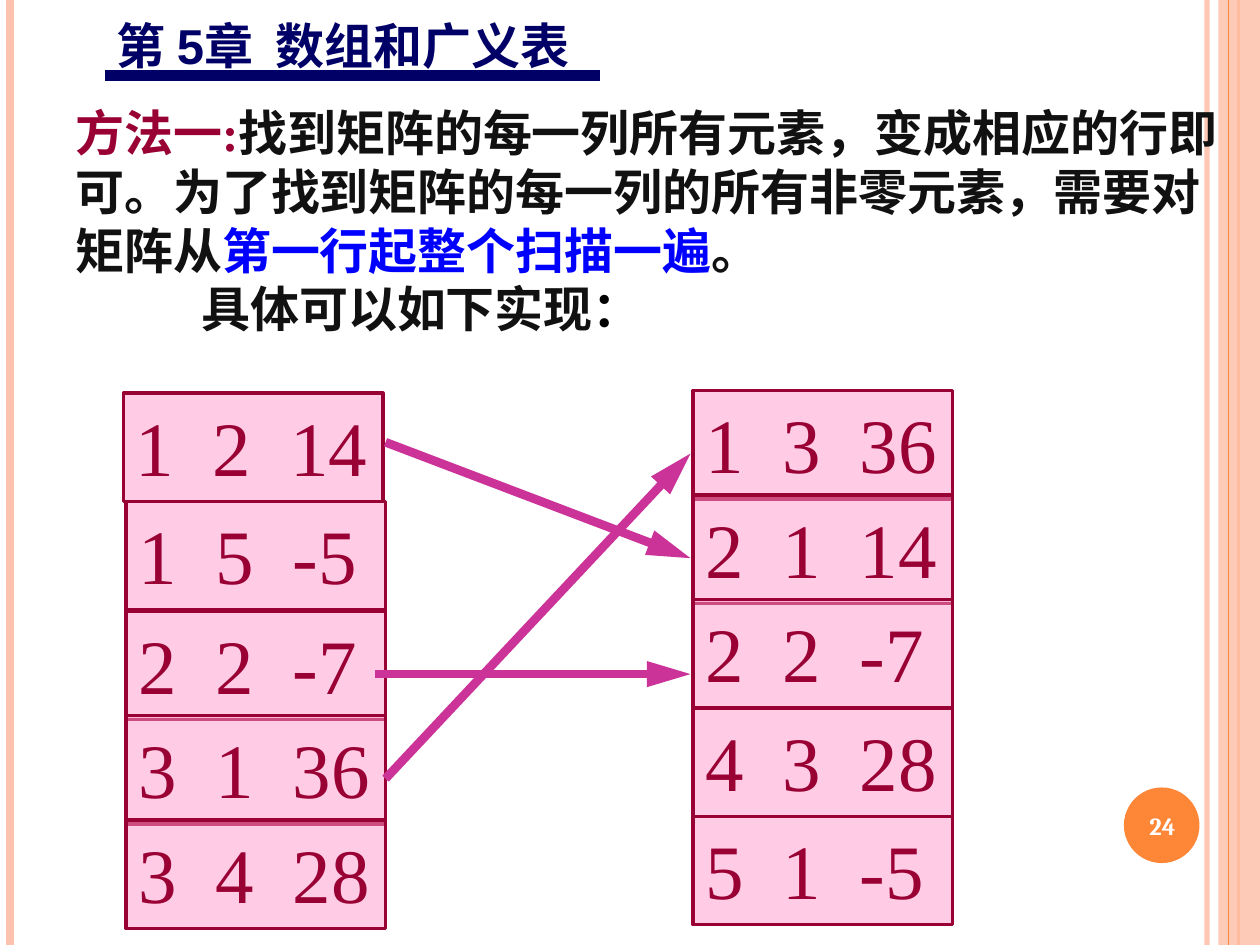
from dataclasses import dataclass
from lxml.etree import SubElement
from pptx import Presentation
from pptx.dml.color import RGBColor
from pptx.enum.shapes import MSO_CONNECTOR, MSO_SHAPE
from pptx.enum.text import MSO_ANCHOR, PP_ALIGN
from pptx.oxml.ns import qn
from pptx.slide import Slide
from pptx.util import Inches, Pt

COLUMNS, ROWS = 100, 75
COLORS = {
    "peach": "FEC3AE", "orange": "FE8637", "white": "FFFFFF", "navy": "000066",
    "crimson": "990033", "ink": "111111", "black": "000000", "blue": "0000FF",
    "pink": "FF99CC", "magenta": "CC3399",
}
CJK_FONT = "Noto Sans CJK SC"
FORMATS = {
    "title": {"size": Pt(28), "name": "Arial", "bold": True},
    "latin": {"size": Pt(28), "name": "Times New Roman", "bold": True},
    "body": {"size": Pt(28), "name": CJK_FONT, "bold": True},
    "triplet": {"size": Pt(44), "name": "Times New Roman", "bold": False},
    "number": {"size": Pt(14), "name": "Cambria", "bold": True},
}
BODY_SPACING = {"line_spacing": Pt(33.7)}


@dataclass
class SlideBuilder:
    """Draw styled elements on one slide, placed by grid columns and rows."""
    presentation: Presentation
    slide: Slide

    def horizontal(self, columns):
        return int(self.presentation.slide_width * columns / COLUMNS)

    def vertical(self, rows):
        return int(self.presentation.slide_height * rows / ROWS)

    def box(self, left, top, width, height):
        return (self.horizontal(left), self.vertical(top),
                self.horizontal(width), self.vertical(height))

    def color(self, name):
        return RGBColor.from_string(COLORS[name])

    def opacity(self, color_parent, percent):
        for color in color_parent.iter(qn("a:srgbClr")):
            SubElement(color, qn("a:alpha"), val=str(percent * 1000))

    def line(self, start, end, color, width, opacity=100, arrow=False):
        connector = self.slide.shapes.add_connector(
            MSO_CONNECTOR.STRAIGHT,
            self.horizontal(start[0]), self.vertical(start[1]),
            self.horizontal(end[0]), self.vertical(end[1]))
        connector.line.color.rgb = self.color(color)
        connector.line.width = Pt(width)
        properties = connector._element.spPr
        outline = properties.find(qn("a:ln"))
        if opacity < 100:
            self.opacity(outline, opacity)
        if arrow:
            SubElement(outline, qn("a:tailEnd"), type="triangle", w="med", len="lg")
        SubElement(properties, qn("a:effectLst"))

    def shape(self, kind, bounds, fill, opacity=100, outline=None):
        shape = self.slide.shapes.add_shape(kind, *self.box(*bounds))
        shape.shadow.inherit = False
        shape.fill.solid()
        shape.fill.fore_color.rgb = self.color(fill)
        if opacity < 100:
            self.opacity(shape._element.spPr.find(qn("a:solidFill")), opacity)
        if outline:
            shape.line.color.rgb = self.color(outline)
            shape.line.width = Pt(2)
        else:
            shape.line.fill.background()
        return shape

    def paragraph(self, paragraph, runs, settings):
        for name, value in settings.items():
            setattr(paragraph, name, value)
        for text, style, color in runs:
            run = paragraph.add_run()
            run.text = text
            for name, value in FORMATS[style].items():
                setattr(run.font, name, value)
            run.font.color.rgb = self.color(color)
            SubElement(run._r.get_or_add_rPr(), qn("a:ea"), typeface=CJK_FONT)

    def text(self, bounds, paragraphs, settings, anchor=MSO_ANCHOR.TOP):
        frame = self.slide.shapes.add_textbox(*self.box(*bounds)).text_frame
        frame.word_wrap = True
        frame.vertical_anchor = anchor
        for index, runs in enumerate(paragraphs):
            paragraph = frame.add_paragraph() if index else frame.paragraphs[0]
            self.paragraph(paragraph, runs, settings)
        return frame

    def triplet(self, left, top, values):
        shape = self.shape(MSO_SHAPE.RECTANGLE, (left, top, 20.6, 8.6), "pink", 50, "crimson")
        frame = shape.text_frame
        frame.word_wrap = True
        frame.margin_right = 0
        frame.vertical_anchor = MSO_ANCHOR.TOP
        paragraph = frame.paragraphs[0]
        text = "\t".join(str(value) for value in values)
        self.paragraph(paragraph, [(text, "triplet", "crimson")], {"alignment": PP_ALIGN.LEFT})
        stops = SubElement(paragraph._p.get_or_add_pPr(), qn("a:tabLst"))
        for stop in (1, 2):
            SubElement(stops, qn("a:tab"), pos=str(self.horizontal(6.12 * stop)), algn="l")


def main():
    presentation = Presentation()
    presentation.slide_width, presentation.slide_height = Inches(10), Inches(7.5)
    slide = presentation.slides.add_slide(presentation.slide_layouts[6])
    builder = SlideBuilder(presentation, slide)

    for column, color, width, opacity in (
            (95.8, "peach", 3, 93), (0.8, "peach", 4.5, 100), (98.3, "orange", 1.5, 100)):
        builder.line((column, 0), (column, ROWS), color, width, opacity)
    builder.shape(MSO_SHAPE.RECTANGLE, (96.7, 0, 3.3, ROWS), "peach", 87)
    builder.line((97.5, 0), (97.5, ROWS), "orange", 0.75)
    builder.shape(MSO_SHAPE.OVAL, (89.2, 62.5, 6, 6), "orange")
    builder.text((88.9, 62.7, 6.7, 5.7), [[("24", "number", "white")]],
                 {"alignment": PP_ALIGN.CENTER}, MSO_ANCHOR.MIDDLE)

    method = [
        ("方法一:", "latin", "crimson"),
        ("找到矩阵的每一列所有元素，变成相应的行即可。为了找到矩阵的每一列的所有非零元素，需要对矩阵从",
         "body", "ink"),
        ("第一行起整个扫描一遍", "body", "blue"),
        ("。", "body", "ink"),
    ]
    steps = [("具体可以如下实现", "body", "ink"), ("：", "latin", "black")]
    frame = builder.text((5, 7.6, 95, 19.7), [method, steps], BODY_SPACING)
    frame.paragraphs[1]._p.get_or_add_pPr().set("indent", str(builder.horizontal(10)))

    source_rows = (
        (9.8, 31.2, (1, 2, 14)), (10, 39.8, (1, 5, -5)), (10, 48.5, (2, 2, -7)),
        (10, 56.8, (3, 1, 36)), (10, 65.1, (3, 4, 28)))
    transposed_rows = (
        (55, 31, (1, 3, 36)), (55, 39.3, (2, 1, 14)), (55, 47.6, (2, 2, -7)),
        (55, 56.2, (4, 3, 28)), (55, 64.8, (5, 1, -5)))
    for left, top, values in source_rows + transposed_rows:
        builder.triplet(left, top, values)

    for start, end_row in (((30.6, 61.8), 36), ((30.6, 35.1), 44.3), ((29.8, 53.5), 53.5)):
        builder.line(start, (54.8, end_row), "magenta", 5, arrow=True)

    builder.line((8.3, 6), (47.6, 6), "navy", 6)
    builder.text((8.3, 0.7, 42.5, 5.7), [[("第 5章  数组和广义表", "title", "navy")]], BODY_SPACING)
    presentation.save("out.pptx")


if __name__ == "__main__":
    main()
